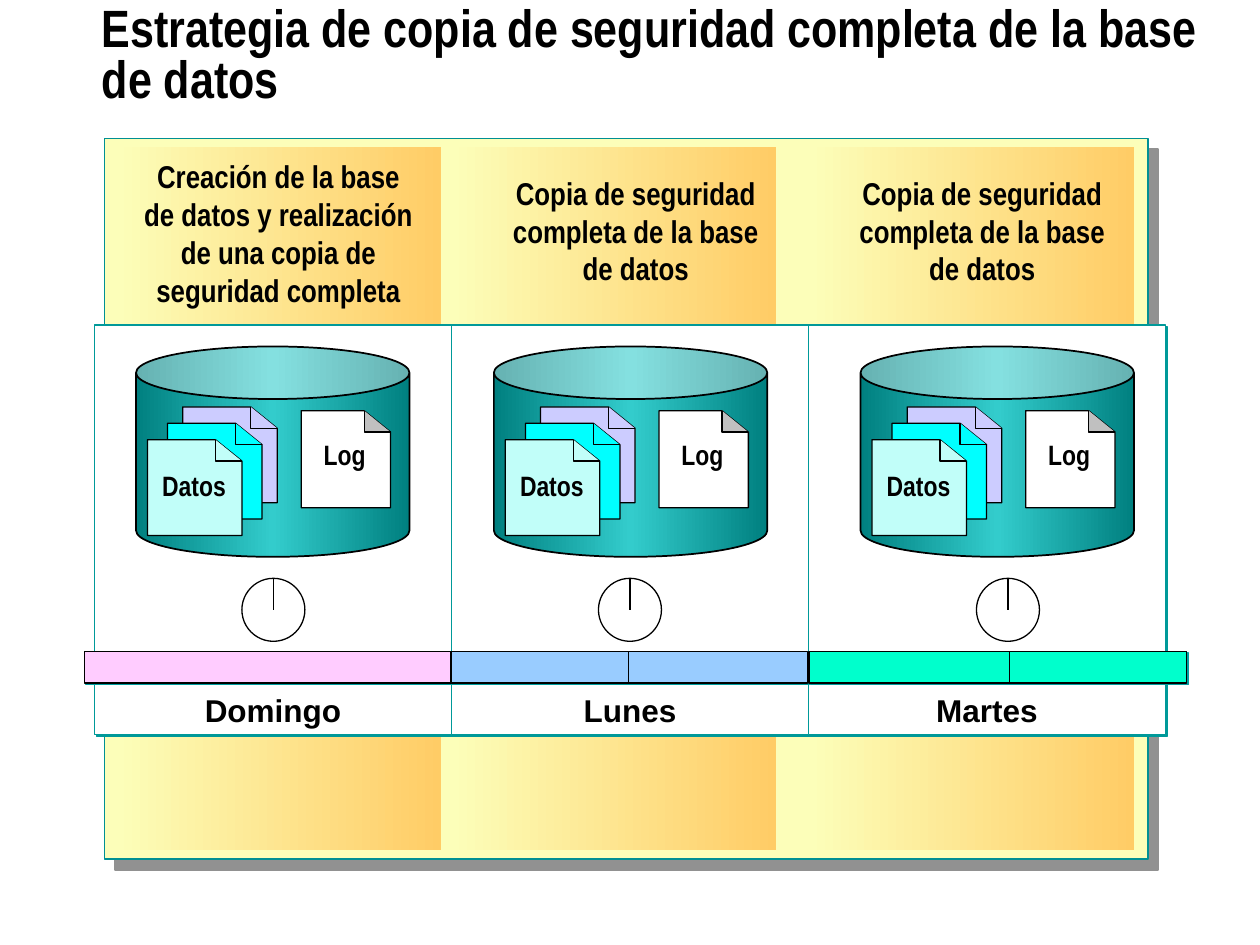
from lxml import etree
from pptx import Presentation
from pptx.dml.color import RGBColor
from pptx.enum.shapes import MSO_CONNECTOR, MSO_SHAPE
from pptx.enum.text import MSO_ANCHOR, PP_ALIGN
from pptx.oxml.ns import qn
from pptx.util import Inches, Pt

RECTANGLE, CAN, OVAL = MSO_SHAPE.RECTANGLE, MSO_SHAPE.CAN, MSO_SHAPE.OVAL
STRAIGHT = MSO_CONNECTOR.STRAIGHT
TOP, MIDDLE, BOTTOM = MSO_ANCHOR.TOP, MSO_ANCHOR.MIDDLE, MSO_ANCHOR.BOTTOM
LEFT, CENTER = PP_ALIGN.LEFT, PP_ALIGN.CENTER

BLACK, WHITE = "000000", "FFFFFF"
PANEL_COLORS = ["FCFEB9", "FFCC66"]
CAN_COLORS = ["008080", "33CCCC", "008080"]
DATA_SHEETS = [(0.37, 0.48, "CCCCFF"), (0.25, 0.61, "00FFFF"), (0.09, 0.74, "C1FEF9")]

BACKUP = ["Copia de seguridad", "completa de la base", "de datos"]
CREATION = ["Creación de la base de datos y realización de una copia de seguridad completa"]
# Name, panel left, header lines, header place, header wraps, can left, clock centre
DAYS = [
    ("Domingo", 0.92, CREATION, (1.03, 1.2, 2.36, 1.3), True, 1.08, 2.17),
    ("Lunes", 3.58, BACKUP, (3.97, 1.33, 2.15, 1), False, 3.92, 5),
    ("Martes", 6.42, BACKUP, (6.72, 1.33, 2.15, 1), False, 6.83, 8),
]
# Left, width, colour
TIMELINE = [(0.67, 2.92, "FFCCFF"), (3.58, 2.83, "99CCFF"), (6.42, 3, "00FFCC")]
DAY_WIDTH = 17 / 6


def color(value):
    return RGBColor.from_string(value)


def set_gradient(shape, colors):
    """Spread the colours evenly from left to right."""
    shape.fill.gradient()
    shape.fill.gradient_angle = 0
    stops = shape._element.spPr.find(".//" + qn("a:gsLst"))
    for stop in list(stops):
        stops.remove(stop)
    for index, value in enumerate(colors):
        position = round(100000 * index / (len(colors) - 1))
        stop = etree.SubElement(stops, qn("a:gs"), pos=str(position))
        etree.SubElement(stop, qn("a:srgbClr"), val=value)


def set_shadow(shape, value, distance):
    """Add a sharp shadow towards the lower right."""
    effects = shape._element.spPr.find(qn("a:effectLst"))
    shadow = etree.SubElement(effects, qn("a:outerShdw"), dist=str(int(Pt(distance))),
                              dir="2700000", algn="ctr", rotWithShape="0")
    etree.SubElement(shadow, qn("a:srgbClr"), val=value)


def style(shape, fill, line=None, width=0.75, shadow=None):
    shape.shadow.inherit = False
    if isinstance(fill, list):
        set_gradient(shape, fill)
    else:
        shape.fill.solid()
        shape.fill.fore_color.rgb = color(fill)
    if line:
        shape.line.color.rgb = color(line)
        shape.line.width = Pt(width)
    else:
        shape.line.fill.background()
    if shadow:
        set_shadow(shape, *shadow)
    return shape


def add_box(slide, kind, place, fill, **look):
    shape = slide.shapes.add_shape(kind, *map(Inches, place))
    return style(shape, fill, **look)


def add_outline(slide, points, fill, closed):
    (x, y), *others = [(Inches(x), Inches(y)) for x, y in points]
    builder = slide.shapes.build_freeform(x, y)
    builder.add_line_segments(others, close=closed)
    return style(builder.convert_to_shape(), fill, line=BLACK)


def add_line(slide, x, top, bottom):
    line = slide.shapes.add_connector(STRAIGHT, *map(Inches, (x, top, x, bottom)))
    line.line.color.rgb = color(BLACK)
    line.line.width = Pt(0.75)
    etree.SubElement(line._element.spPr, qn("a:effectLst"))


def write(box, lines, size=18, font="Arial Narrow", align=CENTER, anchor=TOP,
          wrap=False, spacing=1.0):
    frame = box.text_frame
    frame.word_wrap = wrap
    frame.vertical_anchor = anchor
    for index, line in enumerate(lines):
        para = frame.add_paragraph() if index else frame.paragraphs[0]
        para.alignment = align
        para.line_spacing = spacing
        span = para.add_run()
        span.text = line
        span.font.name = font
        span.font.size = Pt(size)
        span.font.bold = True
        span.font.color.rgb = color(BLACK)


def add_text(slide, place, lines, **text_format):
    write(slide.shapes.add_textbox(*map(Inches, place)), lines, **text_format)


def add_sheet(slide, left, top, width, height, fill, fold_fill):
    """A page with its upper right corner folded down."""
    right, bottom = left + width, top + height
    fold_x, fold_y = right - 0.21, top + 0.17
    page = [(left, top), (fold_x, top), (right, fold_y), (right, bottom), (left, bottom)]
    add_outline(slide, page, fill, closed=True)
    fold = [(fold_x, top), (fold_x, fold_y), (right, fold_y)]
    add_outline(slide, fold, fold_fill, closed=False)


def add_database(slide, left, top=2.75):
    can = add_box(slide, CAN, (left, top, 2.17, 1.67), CAN_COLORS, line=BLACK, width=1)
    can.adjustments[0] = 0.25
    for x, y, fill in DATA_SHEETS:
        add_sheet(slide, left + x, top + y, 0.75, 0.76, fill, fill)
    add_text(slide, (left + 0.01, top + 0.92, 0.9, 0.37), ["Datos"], size=16)
    add_sheet(slide, left + 1.31, top + 0.51, 0.71, 0.77, WHITE, "C0C0C0")
    add_text(slide, (left + 1.3, top + 0.67, 0.71, 0.37), ["Log"], size=16)


def add_clock(slide, center):
    add_box(slide, OVAL, (center - 0.25, 4.59, 0.5, 0.5), WHITE, line=BLACK)
    add_line(slide, center, 4.59, 4.84)


def main():
    deck = Presentation()
    deck.slide_width, deck.slide_height = Inches(10), Inches(7.5)
    slide = deck.slides.add_slide(deck.slide_layouts[6])

    # Background board and title
    add_box(slide, RECTANGLE, (0.83, 1.1, 8.28, 5.72), "FCFEB9",
            line="009094", width=1, shadow=("919191", 8.5))
    add_text(slide, (0.71, 0, 8.96, 0.92),
             ["Estrategia de copia de seguridad completa de la base de datos"],
             size=30, align=LEFT, anchor=MIDDLE, wrap=True, spacing=0.8)

    # Shaded panels with their headers, then the day boxes
    for _, panel, header, place, wraps, *_ in DAYS:
        add_box(slide, RECTANGLE, (panel, 1.17, 2.58, 5.58), PANEL_COLORS)
        add_text(slide, place, header, wrap=wraps)
    for index, (name, *_) in enumerate(DAYS):
        day = add_box(slide, RECTANGLE, (0.75 + index * DAY_WIDTH, 2.58, DAY_WIDTH, 3.25),
                      WHITE, line="009999", shadow=("009999", 1.4))
        write(day, [name], font="Arial", anchor=BOTTOM)

    # Timeline with midday marks
    for left, width, fill in TIMELINE:
        add_box(slide, RECTANGLE, (left, 5.17, width, 0.25), fill,
                line=BLACK, shadow=("009EA1", 1.4))
    for x in (4.99, 8.01):
        add_line(slide, x, 5.17, 5.42)

    # Databases and clocks
    for *_, database, clock in DAYS:
        add_database(slide, database)
        add_clock(slide, clock)

    deck.save("out.pptx")


if __name__ == "__main__":
    main()
